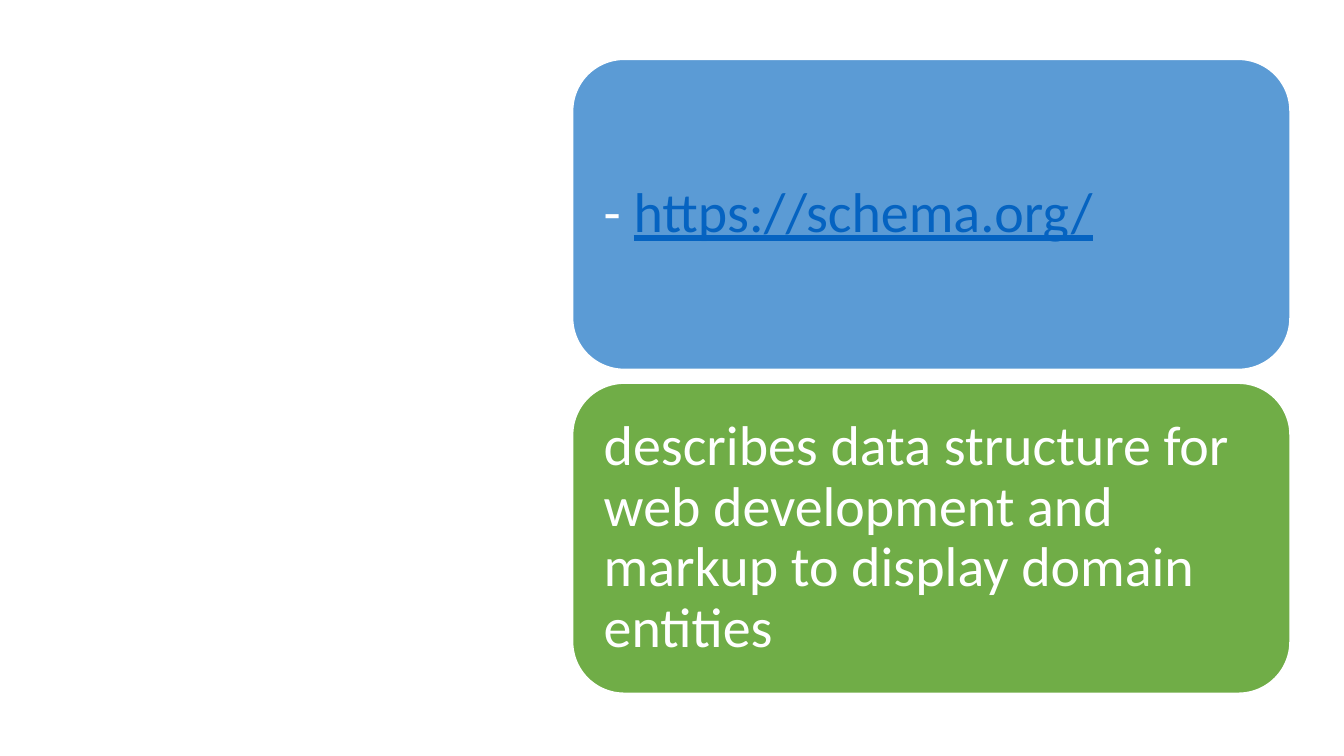
"""Build a slide with two stacked rounded cards on its right side."""
import pptx
import pptx.dml.color
import pptx.enum.shapes
import pptx.enum.text
import pptx.util

WHITE = "FFFFFF"
LINK = "0563C1"
CARDS = [
    ("5B9BD5", [("- ", WHITE), ("https://schema.org/", LINK)]),
    ("70AD47", [("describes data structure for web development and "
                 "markup to display domain entities", WHITE)]),
]
SLIDE_WIDTH = 10
SLIDE_HEIGHT = SLIDE_WIDTH * 9 / 16
LEFT, TOP = 4.26, 0.44
CARD_WIDTH, CARD_HEIGHT, GAP = 5.34, 2.31, 0.1
INSET = 0.12


def color(value):
    return pptx.dml.color.RGBColor.from_string(value)


def add_card(page, row, fill, spans):
    top = TOP + row * (CARD_HEIGHT + GAP)
    box = page.shapes.add_shape(
        pptx.enum.shapes.MSO_SHAPE.ROUNDED_RECTANGLE,
        *map(pptx.util.Inches, (LEFT, top, CARD_WIDTH, CARD_HEIGHT)))
    box.shadow.inherit = False
    box.fill.solid()
    box.fill.fore_color.rgb = color(fill)
    box.line.color.rgb = color(WHITE)
    box.line.width = pptx.util.Pt(1)

    frame = box.text_frame
    frame.word_wrap = True
    frame.vertical_anchor = pptx.enum.text.MSO_ANCHOR.MIDDLE
    for side in ("left", "top", "right", "bottom"):
        setattr(frame, f"margin_{side}", pptx.util.Inches(INSET))
    para = frame.paragraphs[0]
    para.alignment = pptx.enum.text.PP_ALIGN.LEFT
    para.line_spacing = 0.9
    for text, ink in spans:
        span = para.add_run()
        span.text = text
        span.font.name = "Calibri"
        span.font.size = pptx.util.Pt(30)
        span.font.color.rgb = color(ink)
        span.font.underline = ink == LINK


def main():
    deck = pptx.Presentation()
    deck.slide_width = pptx.util.Inches(SLIDE_WIDTH)
    deck.slide_height = pptx.util.Inches(SLIDE_HEIGHT)
    page = deck.slides.add_slide(deck.slide_layouts[6])
    for row, (fill, spans) in enumerate(CARDS):
        add_card(page, row, fill, spans)
    deck.save("out.pptx")


if __name__ == "__main__":
    main()
